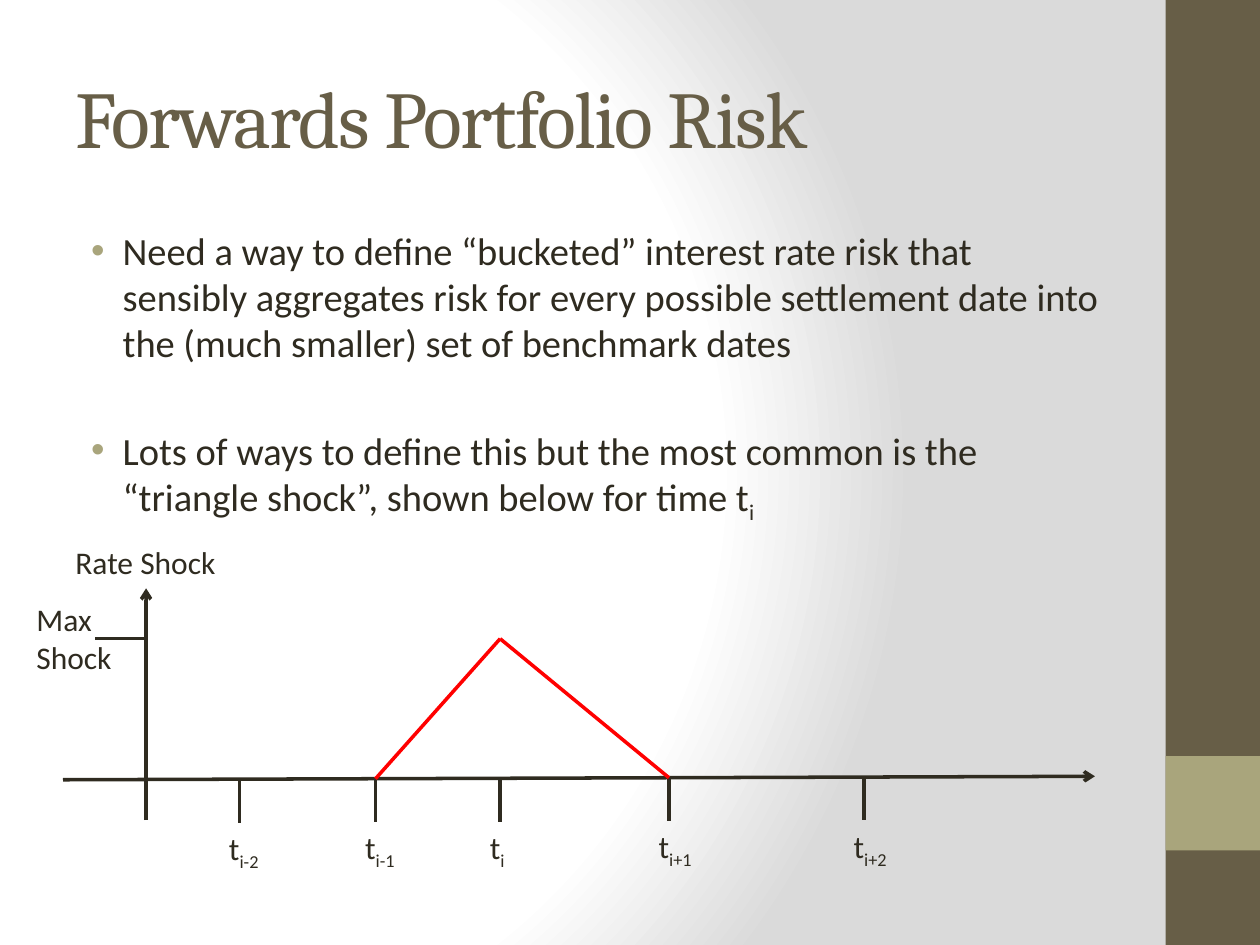
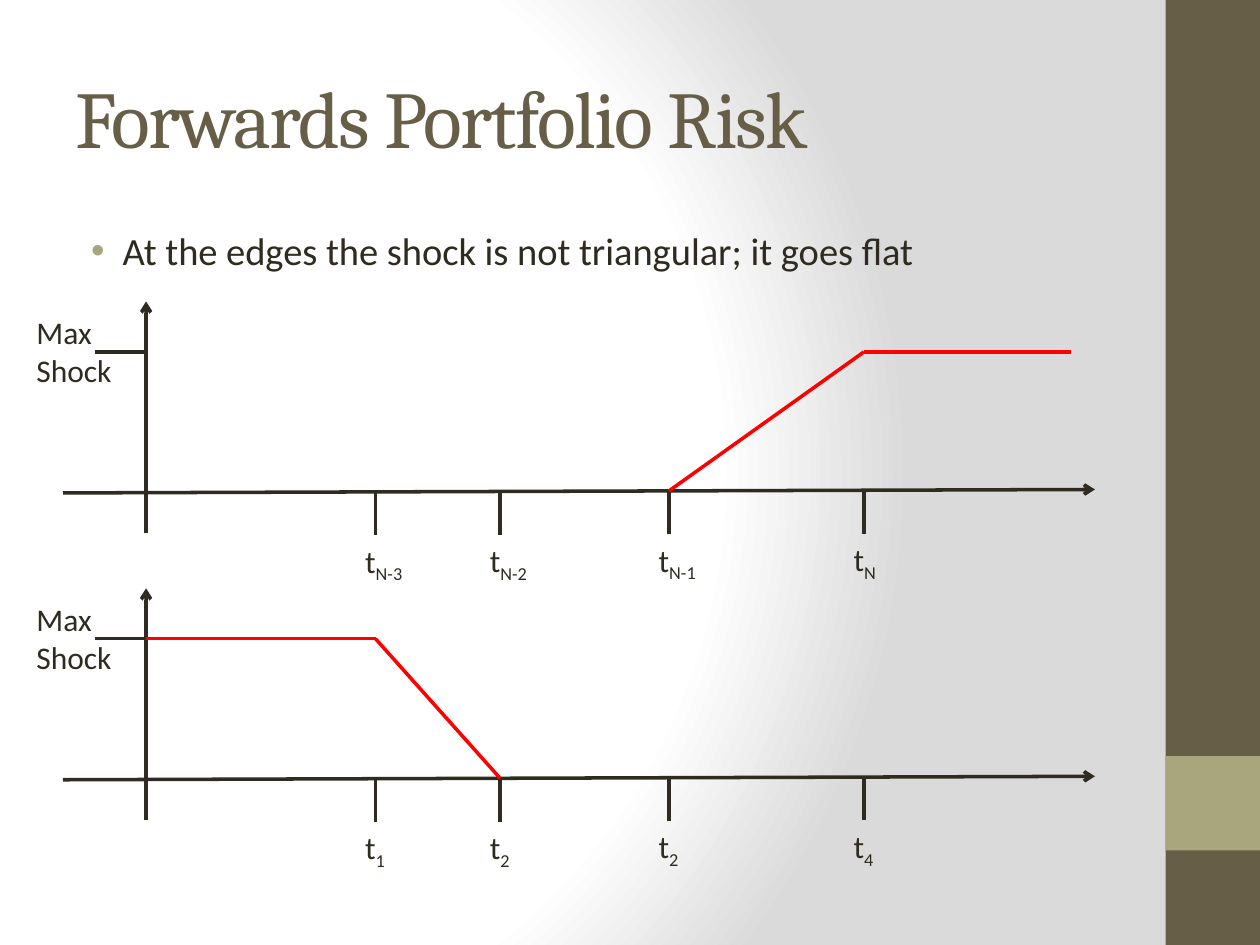
import pptx
import pptx.dml.color
import pptx.enum.shapes
import pptx.enum.text
import pptx.oxml
import pptx.oxml.ns
import pptx.util
from lxml import etree

Pt = pptx.util.Pt
qn = pptx.oxml.ns.qn
MSO_ANCHOR = pptx.enum.text.MSO_ANCHOR
MSO_AUTO_SIZE = pptx.enum.text.MSO_AUTO_SIZE

COLOURS = {
    "ink": "2F2B20",
    "band": "675E47",
    "accent": "A9A57C",
    "shock": "FF0000",
    "paper": "FFFFFF",
    "shade": "DADADA",
}
HEADING_FONT, BODY_FONT = "Cambria", "Calibri"
TITLE_BOX = (36, 21.6, 600, 90)
LOWER_DIAGRAM = (13.7, 336.2, 612, 163)
UPPER_DIAGRAM = (13.7, 172.3, 612, 163)
TICKS = (123.1, 200.9, 272.1, 368.6, 480)
RATE_AXIS, SHOCK_END = 69.8, 598.3


def colour(name):
    """Return the named colour."""
    return pptx.dml.color.RGBColor.from_string(COLOURS[name])


def add_run(paragraph, text, size, font=BODY_FONT, ink="ink", subscript=False):
    """Add one formatted run and return it."""
    run = paragraph.add_run()
    run.text = text
    run.font.size = Pt(size)
    run.font.name = font
    run.font.color.rgb = colour(ink)
    if subscript:
        run._r.get_or_add_rPr().set("baseline", "-25000")
    return run


def add_term(paragraph, text, subscript, size):
    """Add text followed by an optional subscript."""
    add_run(paragraph, text, size)
    if subscript:
        add_run(paragraph, subscript, size, subscript=True)


def add_text_box(slide, box, wrap=True):
    """Add an empty text box and return its frame."""
    frame = slide.shapes.add_textbox(*map(Pt, box)).text_frame
    frame.word_wrap = wrap
    return frame


def add_label(slide, box, text, subscript="", wrap=True):
    """Add a diagram label."""
    frame = add_text_box(slide, box, wrap)
    add_term(frame.paragraphs[0], text, subscript, 18)


def add_line(slide, start, end, ink="ink", arrow=False):
    """Draw a straight line, with an arrowhead at its end if asked."""
    line = slide.shapes.add_connector(
        pptx.enum.shapes.MSO_CONNECTOR.STRAIGHT, *map(Pt, (*start, *end)))
    line.line.color.rgb = colour(ink)
    line.line.width = Pt(2)
    properties = line.element.spPr
    if arrow:
        etree.SubElement(properties.find(qn("a:ln")), qn("a:tailEnd"), type="arrow")
    etree.SubElement(properties, qn("a:effectLst"))


def style_background(master):
    """Give the master its circular gradient."""
    master.background.fill.gradient()
    stops = "".join(
        f'<a:gs pos="{pos}"><a:srgbClr val="{COLOURS[name]}"/></a:gs>'
        for pos, name in ((0, "paper"), (75000, "paper"), (100000, "shade")))
    gradient = pptx.oxml.parse_xml(
        f'<a:gradFill {pptx.oxml.ns.nsdecls("a")} rotWithShape="1">'
        f'<a:gsLst>{stops}</a:gsLst><a:path path="circle">'
        '<a:fillToRect l="20000" t="50000" r="100000" b="50000"/>'
        '</a:path></a:gradFill>')
    plain = next(master.element.iter(qn("a:gradFill")))
    plain.getparent().replace(plain, gradient)


def place_side_band(slide, master, box):
    """Build the side band and its square, then move them to the master."""
    left, top, width, height = box
    parts = (("band", box), ("accent", (left, top + 0.8 * height, width, width)))
    for position, (name, area) in enumerate(parts, start=2):
        part = slide.shapes.add_shape(
            pptx.enum.shapes.MSO_SHAPE.RECTANGLE, *map(Pt, area))
        part.shadow.inherit = False
        part.fill.solid()
        part.fill.fore_color.rgb = colour(name)
        part.line.fill.background()
        master.shapes.element.insert(position, part.element)


def place_title(slide, box, text):
    """Move and format the title placeholder."""
    title = slide.shapes.title
    title.left, title.top, title.width, title.height = map(Pt, box)
    frame = title.text_frame
    frame.word_wrap = True
    frame.auto_size = MSO_AUTO_SIZE.NONE
    frame.vertical_anchor = MSO_ANCHOR.MIDDLE
    heading = frame.paragraphs[0]
    heading.alignment = pptx.enum.text.PP_ALIGN.LEFT
    run = add_run(heading, text, 46, HEADING_FONT, "band")
    run._r.get_or_add_rPr().set("spc", "-100")


def place_bullets(slide, box, points):
    """Write bulleted points, each a text and a subscript."""
    frame = add_text_box(slide, box)
    for index, (text, subscript) in enumerate(points):
        point = frame.add_paragraph() if index else frame.paragraphs[0]
        point.space_before = Pt(35 if index else 4.4)
        properties = point._p.get_or_add_pPr()
        properties.set("marL", str(Pt(27)))
        properties.set("indent", str(Pt(-18)))
        tint = etree.SubElement(properties, qn("a:buClr"))
        etree.SubElement(tint, qn("a:srgbClr"), val=COLOURS["accent"])
        etree.SubElement(properties, qn("a:buFont"), typeface="Arial")
        etree.SubElement(properties, qn("a:buChar"), char="•")
        add_term(point, text, subscript, 22)


def place_shock_diagram(slide, box, dates, shock, caption=""):
    """Draw axes, dated ticks and the shock, given as (x, level) points."""
    left, top, width, height = box
    rate_x, max_y = left + RATE_AXIS, top + 28.8
    time_start, time_end = left + 22.3, left + width

    def time_y(x):
        """Return the height of the slightly rising time axis at x."""
        return top + 109.4 - 2 * (x - time_start) / (time_end - time_start)

    add_line(slide, (time_start, time_y(time_start)), (time_end, time_y(time_end)),
             arrow=True)
    for offset, subscript in dates:
        x = left + offset
        y = time_y(x)
        add_line(slide, (x, y), (x, y + 24.8))
        add_label(slide, (x - 13, y + 24.8, 41, 29), "t", subscript)
    add_line(slide, (rate_x, top + 132.5), (rate_x, top), arrow=True)
    if caption:
        add_label(slide, (time_start, top - 29.5, 96, 29), caption, wrap=False)
    add_line(slide, (rate_x - 29, max_y), (rate_x, max_y))
    add_label(slide, (left, top + 3, 61.2, 51), "Max Shock")
    corners = [(left + x, max_y if level else time_y(left + x)) for x, level in shock]
    for start, end in zip(corners, corners[1:]):
        add_line(slide, start, end, "shock")


def build_triangle_slide(slide):
    """Explain the triangle shock."""
    place_title(slide, TITLE_BOX, "Forwards Portfolio Risk")
    place_bullets(slide, (36, 126, 600, 182), (
        ("Need a way to define “bucketed” interest rate risk that sensibly "
         "aggregates risk for every possible settlement date into the (much "
         "smaller) set of benchmark dates", ""),
        ("Lots of ways to define this but the most common is the “triangle "
         "shock”, shown below for time t", "i")))
    place_shock_diagram(
        slide, LOWER_DIAGRAM,
        zip(TICKS, ("i-2", "i-1", "i", "i+1", "i+2")),
        ((TICKS[1], 0), (TICKS[2], 1), (TICKS[3], 0)), "Rate Shock")


def build_edges_slide(slide):
    """Show the flat shocks at the last and first dates."""
    place_title(slide, TITLE_BOX, "Forwards Portfolio Risk")
    place_bullets(slide, (36, 126, 600, 43), (
        ("At the edges the shock is not triangular; it goes flat", ""),))
    place_shock_diagram(
        slide, LOWER_DIAGRAM, zip(TICKS[1:], ("1", "2", "2", "4")),
        ((RATE_AXIS, 1), (TICKS[1], 1), (TICKS[2], 0)))
    place_shock_diagram(
        slide, UPPER_DIAGRAM, zip(TICKS[1:], ("N-3", "N-2", "N-1", "N")),
        ((TICKS[3], 0), (TICKS[4], 1), (SHOCK_END, 1)))


def main():
    """Build and save the presentation."""
    deck = pptx.Presentation()
    deck.slide_width, deck.slide_height = Pt(720), Pt(540)
    title_only = deck.slide_layouts.get_by_name("Title Only")
    triangle, edges = (deck.slides.add_slide(title_only) for _ in range(2))
    style_background(deck.slide_master)
    place_side_band(triangle, deck.slide_master, (666, 0, 54, 540))
    build_triangle_slide(triangle)
    build_edges_slide(edges)
    deck.save("out.pptx")


main()
